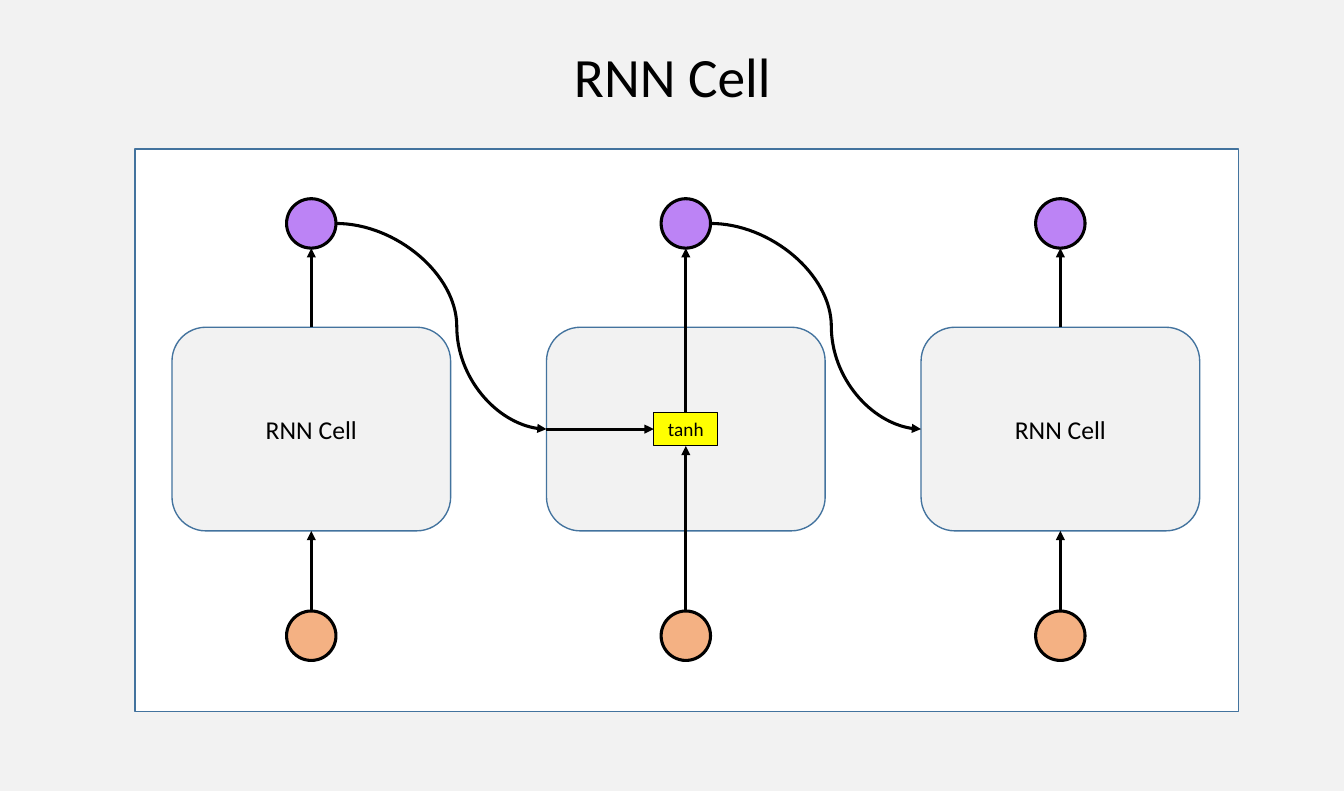
import pptx
import pptx.util
import pptx.dml.color
import pptx.enum.shapes
import pptx.enum.text
import pptx.oxml
import pptx.oxml.ns

TITLE = "RNN Cell"
STEPS = ["RNN Cell", "", "RNN Cell"]
ACTIVATION = "tanh"
COLORS = {"back": "F2F2F2", "panel": "FFFFFF", "edge": "43739E", "ink": "000000",
          "input": "F4B183", "output": "BC83F5", "tanh": "FFFF00"}
FONT = "Calibri"

WIDTH, HEIGHT = 13.6, 8
FIRST_CENTER, PITCH = 3.15, 3.79
CELL_WIDTH, CELL_HEIGHT = 2.82, 2.06
NODE = 0.5
TANH_WIDTH, TANH_HEIGHT = 0.65, 0.34
OUTPUT_ROW, CELL_ROW, INPUT_ROW = 2.26, 4.34, 6.43
CURVE_BEND = 57400

SHAPES = pptx.enum.shapes.MSO_SHAPE
LINES = pptx.enum.shapes.MSO_CONNECTOR
TOP, LEFT, BOTTOM = 0, 1, 2

inches = pptx.util.Inches


def color(name):
    return pptx.dml.color.RGBColor.from_string(COLORS[name])


def write(frame, text, size):
    frame.auto_size = pptx.enum.text.MSO_AUTO_SIZE.NONE
    frame.vertical_anchor = pptx.enum.text.MSO_ANCHOR.MIDDLE
    para = frame.paragraphs[0]
    para.alignment = pptx.enum.text.PP_ALIGN.CENTER
    span = para.add_run()
    span.text = text
    span.font.name = FONT
    span.font.size = pptx.util.Pt(size)
    span.font.color.rgb = color("ink")
    return para


def add_box(page, kind, center, middle, width, height, fill, edge, weight):
    box = page.shapes.add_shape(kind, inches(center - width / 2), inches(middle - height / 2),
                                inches(width), inches(height))
    box.shadow.inherit = False
    box.fill.solid()
    box.fill.fore_color.rgb = color(fill)
    box.line.color.rgb = color(edge)
    box.line.width = pptx.util.Pt(weight)
    return box


def add_node(page, center, middle, fill):
    return add_box(page, SHAPES.OVAL, center, middle, NODE, NODE, fill, "ink", 2.25)


def add_arrow(page, start, end, kind=LINES.STRAIGHT, source=None, target=None):
    arrow = page.shapes.add_connector(kind, *(inches(value) for value in start + end))
    if source:
        arrow.begin_connect(*source)
    if target:
        arrow.end_connect(*target)
    arrow.line.color.rgb = color("ink")
    arrow.line.width = pptx.util.Pt(2.25)
    tail = pptx.oxml.parse_xml(f'<a:tailEnd {pptx.oxml.ns.nsdecls("a")} type="triangle"/>')
    arrow.line._get_or_add_ln().append(tail)
    effects = pptx.oxml.parse_xml(f'<a:effectLst {pptx.oxml.ns.nsdecls("a")}/>')
    arrow._element.spPr.append(effects)
    return arrow


def add_curve(page, start, end):
    curve = add_arrow(page, start, end, LINES.CURVE)
    guides = curve._element.spPr.prstGeom.get_or_add_avLst()
    guides.append(pptx.oxml.parse_xml(
        f'<a:gd {pptx.oxml.ns.nsdecls("a")} name="adj1" fmla="val {CURVE_BEND}"/>'))


def add_title(page):
    title = page.shapes.title
    title.left, title.top = inches(0.94), inches(0.43)
    title.width, title.height = inches(11.73), inches(0.74)
    write(title.text_frame, TITLE, 40.4).line_spacing = 0.9


def add_step(page, center, label):
    cell = add_box(page, SHAPES.ROUNDED_RECTANGLE, center, CELL_ROW, CELL_WIDTH, CELL_HEIGHT,
                   "back", "edge", 1)
    core, core_height = cell, CELL_HEIGHT
    if label:
        write(cell.text_frame, label, 18.7)
    else:
        core_height = TANH_HEIGHT
        core = add_box(page, SHAPES.RECTANGLE, center, CELL_ROW, TANH_WIDTH, TANH_HEIGHT,
                       "tanh", "ink", 0.75)
        core.text_frame.word_wrap = False
        write(core.text_frame, ACTIVATION, 14)
        add_arrow(page, (center - CELL_WIDTH / 2, CELL_ROW), (center - TANH_WIDTH / 2, CELL_ROW),
                  source=(cell, LEFT), target=(core, LEFT))
    source = add_node(page, center, INPUT_ROW, "input")
    add_node(page, center, OUTPUT_ROW, "output")
    add_arrow(page, (center, INPUT_ROW - NODE / 2), (center, CELL_ROW + core_height / 2),
              source=(source, TOP), target=(core, BOTTOM))
    add_arrow(page, (center, CELL_ROW - core_height / 2), (center, OUTPUT_ROW + NODE / 2),
              source=(core, TOP))


def main():
    deck = pptx.Presentation()
    deck.slide_width, deck.slide_height = inches(WIDTH), inches(HEIGHT)
    page = deck.slides.add_slide(deck.slide_layouts[5])
    page.background.fill.solid()
    page.background.fill.fore_color.rgb = color("back")
    add_title(page)
    add_box(page, SHAPES.RECTANGLE, 6.95, 4.35, 11.17, 5.69, "panel", "edge", 1)
    centers = [FIRST_CENTER + PITCH * index for index in range(len(STEPS))]
    for center, label in zip(centers, STEPS):
        add_step(page, center, label)
    for center, following in zip(centers, centers[1:]):
        add_curve(page, (center + NODE / 2, OUTPUT_ROW), (following - CELL_WIDTH / 2, CELL_ROW))
    deck.save("out.pptx")


if __name__ == "__main__":
    main()
